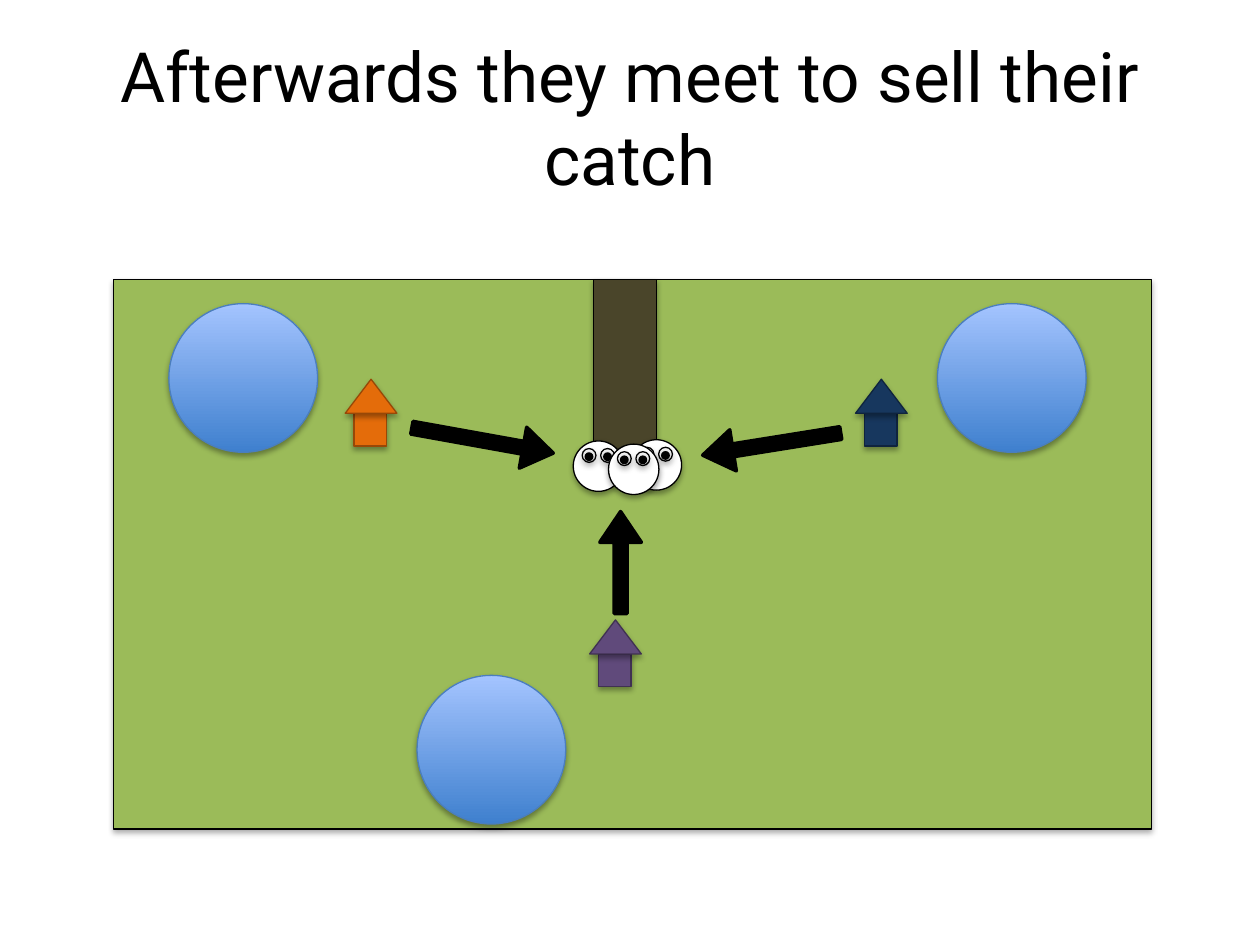
from lxml.etree import SubElement
from pptx import Presentation
from pptx.dml.color import RGBColor
from pptx.enum.shapes import MSO_SHAPE
from pptx.enum.text import MSO_ANCHOR, MSO_AUTO_SIZE, PP_ALIGN
from pptx.oxml.ns import qn
from pptx.util import Inches, Pt

BLACK = RGBColor(0x00, 0x00, 0x00)
WHITE = RGBColor(0xFF, 0xFF, 0xFF)
GRASS = RGBColor(0x9B, 0xBB, 0x59)
ROAD = RGBColor(0x4A, 0x45, 0x2A)
ORANGE = RGBColor(0xE4, 0x6C, 0x0A)
ORANGE_EDGE = RGBColor(0x98, 0x48, 0x07)
PURPLE = RGBColor(0x60, 0x4A, 0x7B)
PURPLE_EDGE = RGBColor(0x40, 0x31, 0x52)
NAVY = RGBColor(0x17, 0x37, 0x5E)
NAVY_EDGE = RGBColor(0x0F, 0x24, 0x3E)
WATER_DARK = RGBColor(0x3F, 0x80, 0xCE)
WATER_LIGHT = RGBColor(0xA4, 0xC4, 0xFF)
WATER_EDGE = RGBColor(0x4B, 0x7E, 0xBC)

prs = Presentation()
prs.slide_width, prs.slide_height = Inches(10), Inches(7.5)
COL = prs.slide_width / 100
ROW = prs.slide_height / 75
s = prs.slides.add_slide(prs.slide_layouts[5])


def cells(x, y, w, h):
    """Turn grid columns and rows into slide lengths."""
    return [round(v) for v in (x * COL, y * ROW, w * COL, h * ROW)]


def add(shapes, kind, box, fill, edge=BLACK, width=0.75, shadow=True):
    """Add a shape with a thin edge and a soft shadow below; fill None leaves it open."""
    sp = shapes.add_shape(kind, *cells(*box))
    if fill is None:
        sp.fill.background()
    else:
        sp.fill.solid()
        sp.fill.fore_color.rgb = fill
    sp.line.color.rgb = edge
    sp.line.width = Pt(width)
    sp.shadow.inherit = False
    if shadow:
        effects = sp._element.spPr.find(qn("a:effectLst"))
        outer = SubElement(effects, qn("a:outerShdw"), blurRad="40000",
                           dist="23000", dir="5400000", rotWithShape="0")
        color = SubElement(outer, qn("a:srgbClr"), val=str(BLACK))
        SubElement(color, qn("a:alpha"), val="35000")
    return sp


# Title
title = s.shapes.title
title.left, title.top, title.width, title.height = cells(5, 3, 90, 12.5)
tf = title.text_frame
tf.text = "Afterwards they meet to sell their catch"
for name, value in {"word_wrap": True, "auto_size": MSO_AUTO_SIZE.NONE,
                    "vertical_anchor": MSO_ANCHOR.MIDDLE}.items():
    setattr(tf, name, value)
p = tf.paragraphs[0]
p.alignment = PP_ALIGN.CENTER
r = p.runs[0]
for name, value in {"name": "Roboto", "size": Pt(39.6)}.items():
    setattr(r.font, name, value)
r.font.color.rgb = BLACK

# Field
add(s.shapes, MSO_SHAPE.RECTANGLE, (9, 22.2, 82.4, 43.6), GRASS)

# Houses: wall, then roof
for x, y, fill, edge in [(27.4, 30.1, ORANGE, ORANGE_EDGE),
                         (46.8, 49.2, PURPLE, PURPLE_EDGE),
                         (67.9, 30.1, NAVY, NAVY_EDGE)]:
    add(s.shapes, MSO_SHAPE.RECTANGLE, (x + 0.7, y + 2.7, 2.6, 2.6), fill, edge)
    add(s.shapes, MSO_SHAPE.ISOSCELES_TRIANGLE, (x, y, 4.1, 2.7), fill, edge)

# Lakes
for x, y in [(13.4, 24.1), (33.1, 53.6), (74.4, 24.1)]:
    lake = add(s.shapes, MSO_SHAPE.OVAL, (x, y, 11.8, 11.8), WATER_DARK, WATER_EDGE)
    lake.fill.gradient()
    lake.fill.gradient_angle = 90
    for stop, color in zip(lake.fill.gradient_stops, (WATER_DARK, WATER_LIGHT)):
        stop.color.rgb = color

# Road
add(s.shapes, MSO_SHAPE.RECTANGLE, (47.1, 22.2, 5, 15.6), ROAD)

# Fishers: head, open eyes, pupils
for x, y in [(45.5, 35), (50.1, 34.9), (48.3, 35.25)]:
    fisher = s.shapes.add_group_shape().shapes
    add(fisher, MSO_SHAPE.OVAL, (x, y, 4, 4), WHITE)
    for dx, dy, size, fill in [(0.7, 0.6, 1.1, None), (0.95, 0.95, 0.6, BLACK)]:
        for eye in range(2):
            add(fisher, MSO_SHAPE.OVAL,
                (x + dx + 1.47 * eye, y + dy, size, size), fill)

# Arrows to the meeting place
for x, y, length, angle in [(32.6, 33.3, 11.4, 190.2), (45.2, 43, 8.1, 90),
                            (55.7, 33.6, 11.1, 350.9)]:
    arrow = add(s.shapes, MSO_SHAPE.LEFT_ARROW, (x, y, length, 3.3),
                BLACK, width=2, shadow=False)
    arrow.adjustments[0], arrow.adjustments[1] = 0.31, 0.74
    arrow.rotation = angle

prs.save("out.pptx")
